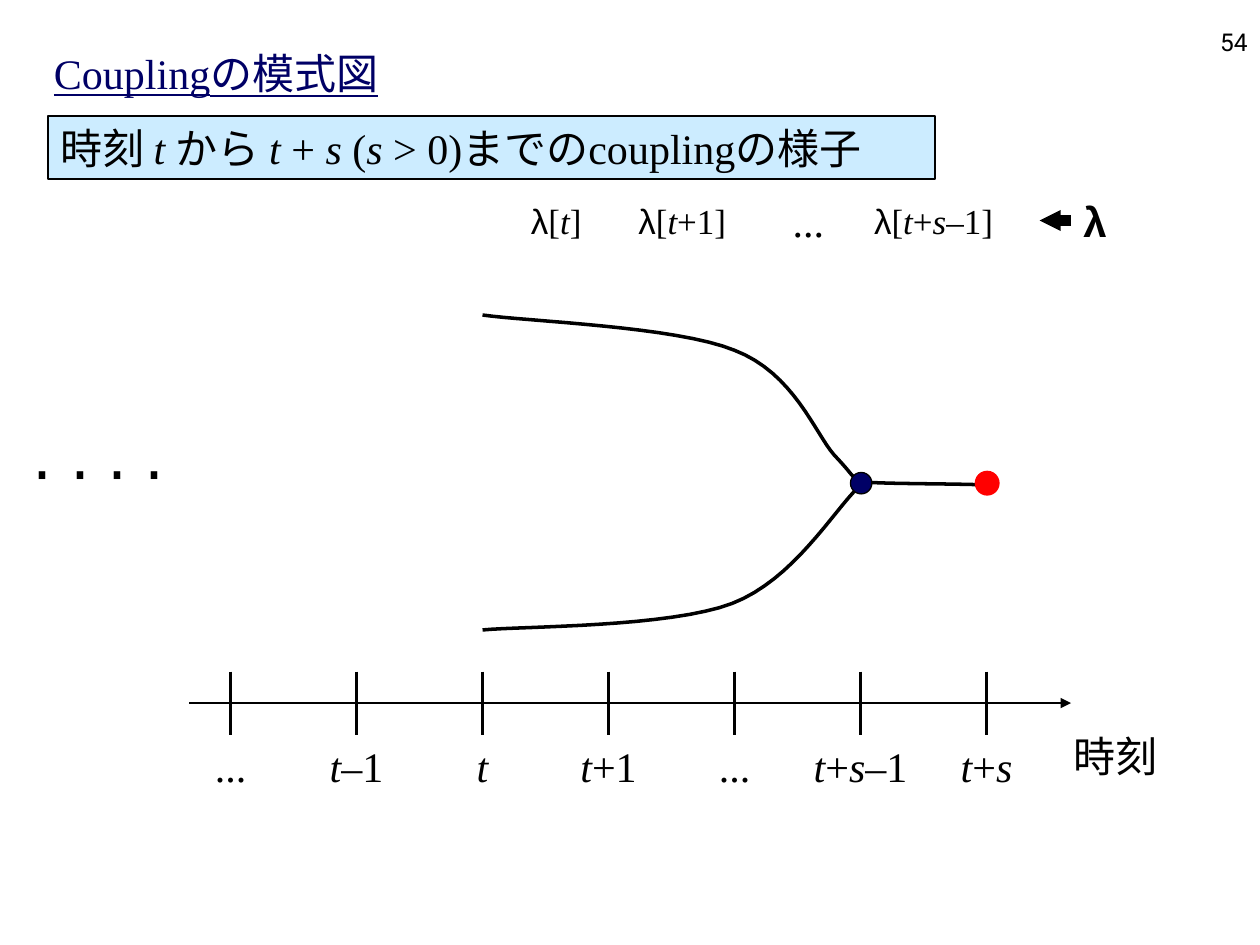
import itertools

import pptx
import pptx.dml.color
import pptx.enum.shapes
import pptx.enum.text
import pptx.oxml
import pptx.oxml.ns
import pptx.util
from pptx.util import Inches

BLACK = pptx.dml.color.RGBColor(0x00, 0x00, 0x00)
NAVY = pptx.dml.color.RGBColor(0x00, 0x00, 0x66)
RED = pptx.dml.color.RGBColor(0xFF, 0x00, 0x00)
PALE_BLUE = pptx.dml.color.RGBColor(0xCC, 0xEC, 0xFF)
SERIF = "Times New Roman"
ANCHOR = pptx.enum.text.MSO_ANCHOR
ALIGN = pptx.enum.text.PP_ALIGN
SHAPE = pptx.enum.shapes.MSO_SHAPE

presentation = pptx.Presentation()
presentation.slide_width = Inches(10)
presentation.slide_height = Inches(7.5)
slide = presentation.slides.add_slide(presentation.slide_layouts[6])


def write(shape, text, size=24, color=BLACK, font=SERIF, bold=None,
          anchor=ANCHOR.MIDDLE, align=ALIGN.LEFT, wrap=False):
    frame = shape.text_frame
    frame.word_wrap = wrap
    if not wrap:
        frame.auto_size = pptx.enum.text.MSO_AUTO_SIZE.SHAPE_TO_FIT_TEXT
    frame.vertical_anchor = anchor
    paragraph = frame.paragraphs[0]
    paragraph.alignment = align
    for (italic, greek), letters in itertools.groupby(
            text, lambda letter: (letter in "ts", letter == "λ")):
        run = paragraph.add_run()
        run.text = "".join(letters)
        run.font.name = "Arial" if greek else font
        run.font.size = pptx.util.Pt(size)
        run.font.color.rgb = color
        run.font.italic = italic
        run.font.bold = bold
    return paragraph


def add_line(x1, y1, x2, y2, width, arrow_size=None):
    line = slide.shapes.add_connector(
        pptx.enum.shapes.MSO_CONNECTOR.STRAIGHT,
        Inches(x1), Inches(y1), Inches(x2), Inches(y2))
    line.line.color.rgb = BLACK
    line.line.width = pptx.util.Pt(width)
    if arrow_size:
        tail = pptx.oxml.parse_xml(
            f'<a:tailEnd {pptx.oxml.ns.nsdecls("a")} type="triangle" '
            f'w="{arrow_size}" len="{arrow_size}"/>')
        line.line._get_or_add_ln().append(tail)
    line._element.spPr.append(pptx.oxml.parse_xml(
        f'<a:effectLst {pptx.oxml.ns.nsdecls("a")}/>'))


title = slide.shapes.add_textbox(Inches(0.33), Inches(0.33), Inches(8.52), Inches(0.5))
paragraph = write(title, "Couplingの模式図", color=NAVY, anchor=ANCHOR.BOTTOM, wrap=True)
for run in paragraph.runs:
    run.font.underline = True

add_line(1.5, 5.58, 8.5, 5.58, 1.5, "med")
LABEL_WIDTH = 1
time_labels = ["...", "t–1", "t", "t+1", "...", "t+s–1", "t+s"]
for index, text in enumerate(time_labels):
    tick = 1.83 + index
    add_line(tick, 5.33, tick, 5.83, 1.5)
    label = slide.shapes.add_textbox(
        Inches(tick - LABEL_WIDTH / 2), Inches(5.83), Inches(LABEL_WIDTH), Inches(0.5))
    write(label, text, align=ALIGN.CENTER)

other_labels = [
    ("時刻", 8.35, 5.75, 1, 0.5, 24, None),
    ("λ[t]", 4.06, 1.53, 0.71, 0.44, 20, None),
    ("λ[t+1]", 4.91, 1.53, 1.01, 0.44, 20, None),
    ("...", 6.14, 1.5, 0.55, 0.5, 24, None),
    ("λ[t+s–1]", 6.78, 1.53, 1.26, 0.44, 20, None),
    ("λ", 8.45, 1.5, 0.48, 0.5, 24, True),
]
for text, left, top, width, height, size, bold in other_labels:
    label = slide.shapes.add_textbox(
        Inches(left), Inches(top), Inches(width), Inches(height))
    write(label, text, size, bold=bold, align=ALIGN.CENTER)
add_line(8.5, 1.75, 8.25, 1.75, 6, "sm")

dots = slide.shapes.add_textbox(Inches(-0.06), Inches(3.4), Inches(1.69), Inches(0.7))
write(dots, "⋅ ⋅ ⋅ ⋅", 36, font="Arial", anchor=ANCHOR.TOP, align=ALIGN.CENTER)

upper_path = [(3.83, 2.5), (4.17, 2.55), (5.37, 2.59), (5.83, 2.78),
              (6.3, 2.96), (6.47, 3.44), (6.62, 3.61),
              (6.78, 3.78), (6.74, 3.76), (6.79, 3.79),
              (6.84, 3.83), (6.75, 3.82), (6.93, 3.83),
              (7.11, 3.84), (7.67, 3.84), (7.86, 3.85)]
lower_path = [(3.83, 5), (4.16, 4.97), (5.31, 4.98), (5.81, 4.79),
              (6.3, 4.6), (6.61, 4.06), (6.82, 3.86)]
STEPS = 16
for path_points in (upper_path, lower_path):
    curve_points = []
    for start in range(0, len(path_points) - 1, 3):
        controls = path_points[start:start + 4]
        for step in range(1, STEPS + 1):
            t = step / STEPS
            weights = ((1 - t) ** 3, 3 * t * (1 - t) ** 2, 3 * t ** 2 * (1 - t), t ** 3)
            curve_points.append(tuple(
                Inches(sum(w * point[axis] for w, point in zip(weights, controls)))
                for axis in (0, 1)))
    first_x, first_y = path_points[0]
    builder = slide.shapes.build_freeform(Inches(first_x), Inches(first_y))
    builder.add_line_segments(curve_points, close=False)
    curve = builder.convert_to_shape()
    curve.shadow.inherit = False
    curve.fill.background()
    curve.line.color.rgb = BLACK
    curve.line.width = pptx.util.Pt(2)

filled_shapes = [
    (SHAPE.OVAL, 6.75, 3.75, 0.17, 0.17, NAVY, BLACK, 0.75, ""),
    (SHAPE.OVAL, 7.75, 3.75, 0.17, 0.17, RED, RED, 2, ""),
    (SHAPE.RECTANGLE, 0.38, 0.92, 7.04, 0.5, PALE_BLUE, BLACK, 1,
     "時刻 t から t + s (s > 0)までのcouplingの様子"),
]
for kind, left, top, width, height, fill, outline, weight, text in filled_shapes:
    shape = slide.shapes.add_shape(
        kind, Inches(left), Inches(top), Inches(width), Inches(height))
    shape.shadow.inherit = False
    shape.fill.solid()
    shape.fill.fore_color.rgb = fill
    shape.line.color.rgb = outline
    shape.line.width = pptx.util.Pt(weight)
    if text:
        write(shape, text, anchor=ANCHOR.TOP)

page_number = slide.shapes.add_textbox(Inches(7.92), Inches(0), Inches(2.08), Inches(0.5))
write(page_number, "54", 14, font="Roboto", anchor=ANCHOR.BOTTOM,
      align=ALIGN.RIGHT, wrap=True)

presentation.save("out.pptx")
